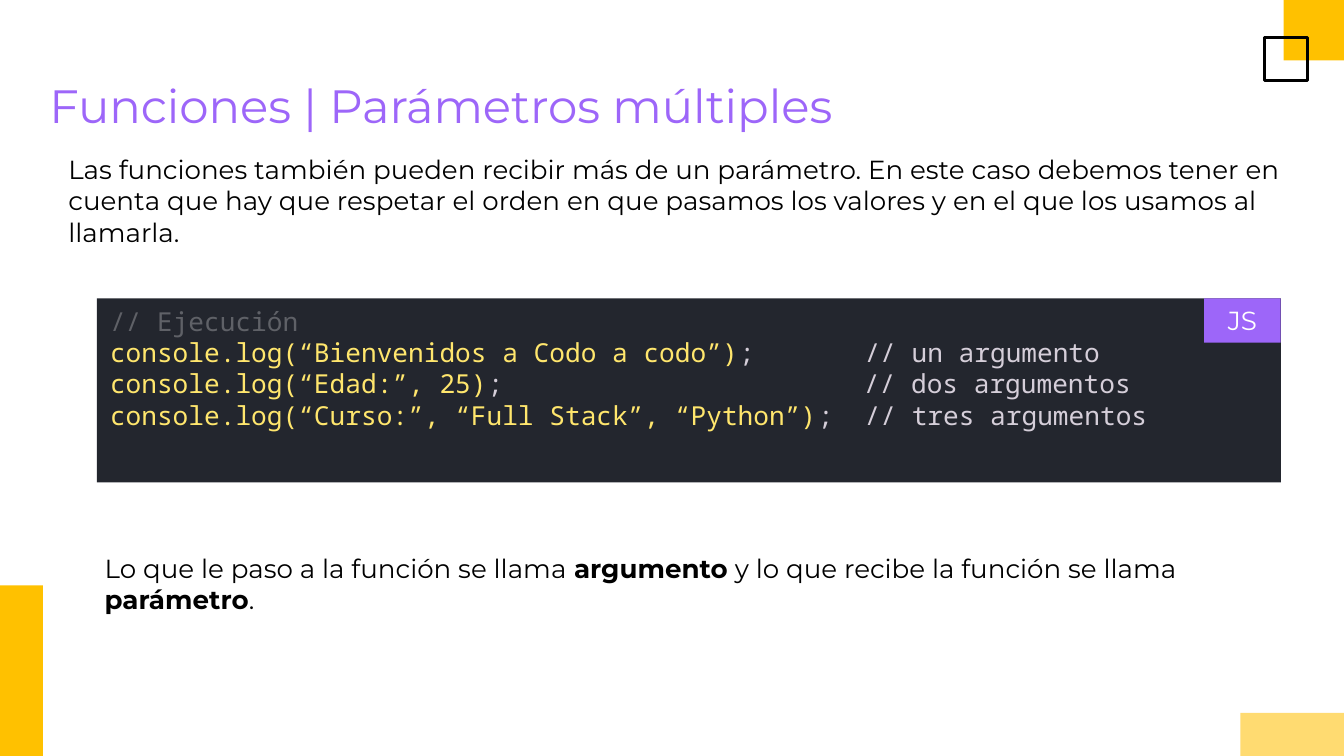
import pptx
import pptx.dml.color
import pptx.enum.shapes
import pptx.enum.text
import pptx.util

Inches = pptx.util.Inches
PAGE_WIDTH = 10
PAGE_HEIGHT = PAGE_WIDTH * 9 / 16
COMMENT_COLUMN = 48
BODY_FONT, CODE_FONT = "Montserrat", "Noto Sans Mono"
COLORS = {
    "amber": "FFC100",
    "pale_amber": "FFDB71",
    "purple": "9D66F9",
    "black": "000000",
    "white": "FFFFFF",
    "panel": "23262E",
    "muted": "5F6167",
    "call": "FFE66D",
    "plain": "D5CED9",
}
CODE_CALLS = [
    ("console.log(“Bienvenidos a Codo a codo”)", "// un argumento"),
    ("console.log(“Edad:”, 25)", "// dos argumentos"),
    ("console.log(“Curso:”, “Full Stack”, “Python”)", "// tres argumentos"),
]


def rgb(name):
    """Return the named colour."""
    return pptx.dml.color.RGBColor.from_string(COLORS[name])


def style(font, color, size=14, name=BODY_FONT):
    """Set the face, size and colour of a font."""
    font.name = name
    font.size = pptx.util.Pt(size)
    font.color.rgb = rgb(color)


def add_rectangle(page, left, top, width, height, fill=None, line=None):
    """Add a flat rectangle with an optional fill and outline."""
    box = page.shapes.add_shape(
        pptx.enum.shapes.MSO_SHAPE.RECTANGLE,
        Inches(left), Inches(top), Inches(width), Inches(height))
    box.shadow.inherit = False
    if fill:
        box.fill.solid()
        box.fill.fore_color.rgb = rgb(fill)
    else:
        box.fill.background()
    if line:
        box.line.color.rgb = rgb(line)
        box.line.width = pptx.util.Pt(1.5)
    else:
        box.line.fill.background()
    return box


def set_frame(box, vertical_inset, anchor=pptx.enum.text.MSO_ANCHOR.TOP):
    """Prepare the text frame of a box and return it."""
    frame = box.text_frame
    frame.word_wrap = True
    frame.vertical_anchor = anchor
    frame.margin_left = frame.margin_right = Inches(0.1)
    frame.margin_top = frame.margin_bottom = Inches(vertical_inset)
    return frame


def add_text(page, left, top, width, height, spans, color="black", size=14, inset=0.1):
    """Add a one-paragraph text box from (text, bold) spans."""
    box = page.shapes.add_textbox(
        Inches(left), Inches(top), Inches(width), Inches(height))
    para = set_frame(box, inset).paragraphs[0]
    style(para.font, color, size)
    for text, bold in spans:
        span = para.add_run()
        span.text = text
        if bold:
            span.font.bold = True
    return para


def add_decoration(page, width, height):
    """Place the corner blocks against the page edges."""
    corner = 0.45
    add_rectangle(page, width - corner, 0, corner, corner, "amber")
    add_rectangle(page, 0, height - 1.27, 0.32, 1.27, "amber")
    add_rectangle(page, width - 0.59, 0.28, 0.32, 0.32, line="black")
    add_rectangle(page, width - 0.77, height - 0.32, 0.77, 0.32, "pale_amber")


def add_code_panel(page, left, top, width, height):
    """Add the dark code listing with its language tag."""
    panel = add_rectangle(page, left, top, width, height, "panel")
    frame = set_frame(panel, 0.05)
    heading = frame.paragraphs[0]
    heading.text = "// Ejecución"
    style(heading.font, "muted", name=CODE_FONT)
    for call, comment in CODE_CALLS:
        para = frame.add_paragraph()
        style(para.font, "plain", name=CODE_FONT)
        gap = " " * (COMMENT_COLUMN - len(call) - 1)
        for text, color in ((call, "call"), (";" + gap + comment, "plain")):
            span = para.add_run()
            span.text = text
            span.font.color.rgb = rgb(color)
    for para in frame.paragraphs:
        para.alignment = pptx.enum.text.PP_ALIGN.LEFT

    tag_width = 0.57
    tag = add_rectangle(page, left + width - tag_width, top, tag_width, 0.33, "purple")
    label = set_frame(tag, 0.1, pptx.enum.text.MSO_ANCHOR.MIDDLE).paragraphs[0]
    label.text = "JS"
    label.alignment = pptx.enum.text.PP_ALIGN.CENTER
    style(label.font, "white")


def main():
    """Build and save the slide."""
    deck = pptx.Presentation()
    deck.slide_width, deck.slide_height = Inches(PAGE_WIDTH), Inches(PAGE_HEIGHT)
    page = deck.slides.add_slide(deck.slide_layouts[6])
    add_decoration(page, PAGE_WIDTH, PAGE_HEIGHT)
    add_text(page, 0.27, 0.47, 9.47, 0.63,
             [("Funciones | Parámetros múltiples", False)], "purple", 25)
    intro = add_text(page, 0.41, 1.04, 9.25, 0.91, [(
        "Las funciones también pueden recibir más de un parámetro. "
        "En este caso debemos tener en cuenta que hay que respetar el orden "
        "en que pasamos los valores y en el que los usamos al llamarla.", False)])
    intro.space_after = pptx.util.Pt(6)
    add_code_panel(page, 0.72, 2.22, 8.81, 1.37)
    add_text(page, 0.68, 4.06, 8.52, 0.57, [
        ("Lo que le paso a la función se llama ", False),
        ("argumento", True),
        (" y lo que recibe la función se llama ", False),
        ("parámetro", True),
        (".", False),
    ], inset=0.05)
    deck.save("out.pptx")


if __name__ == "__main__":
    main()
